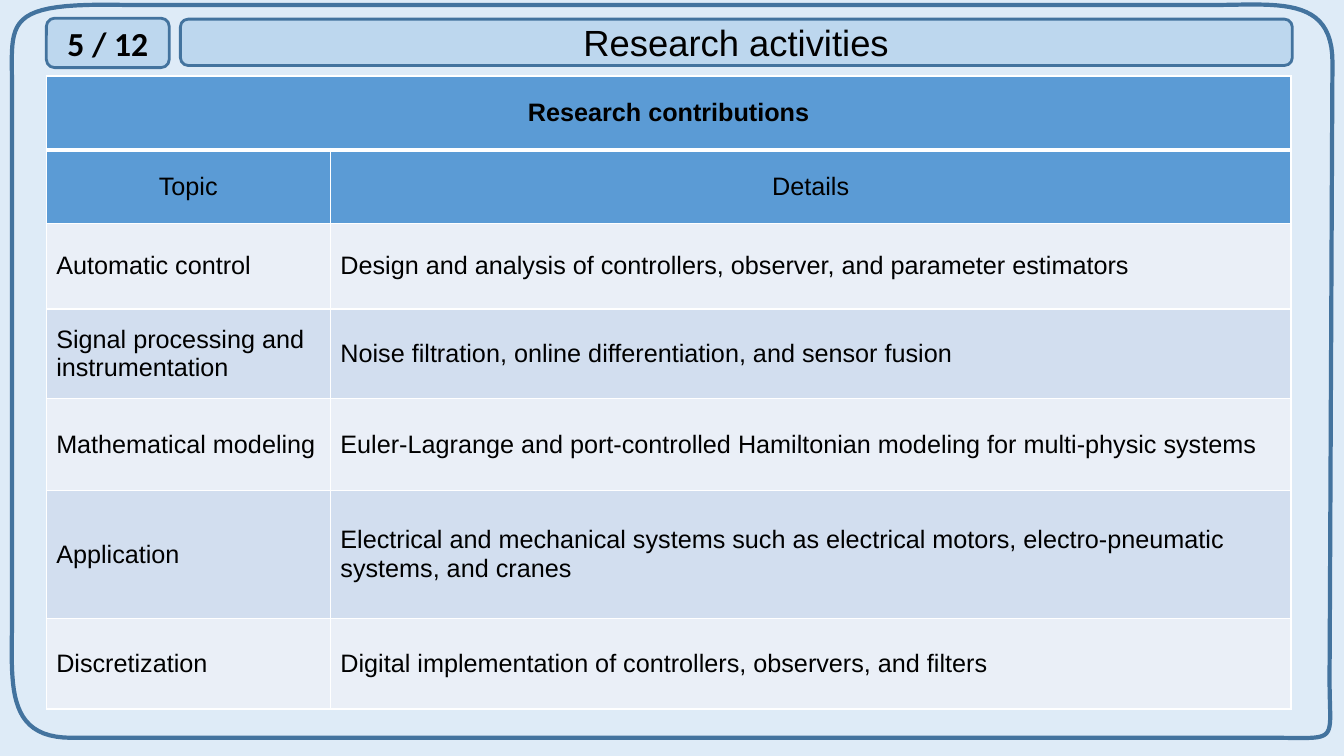
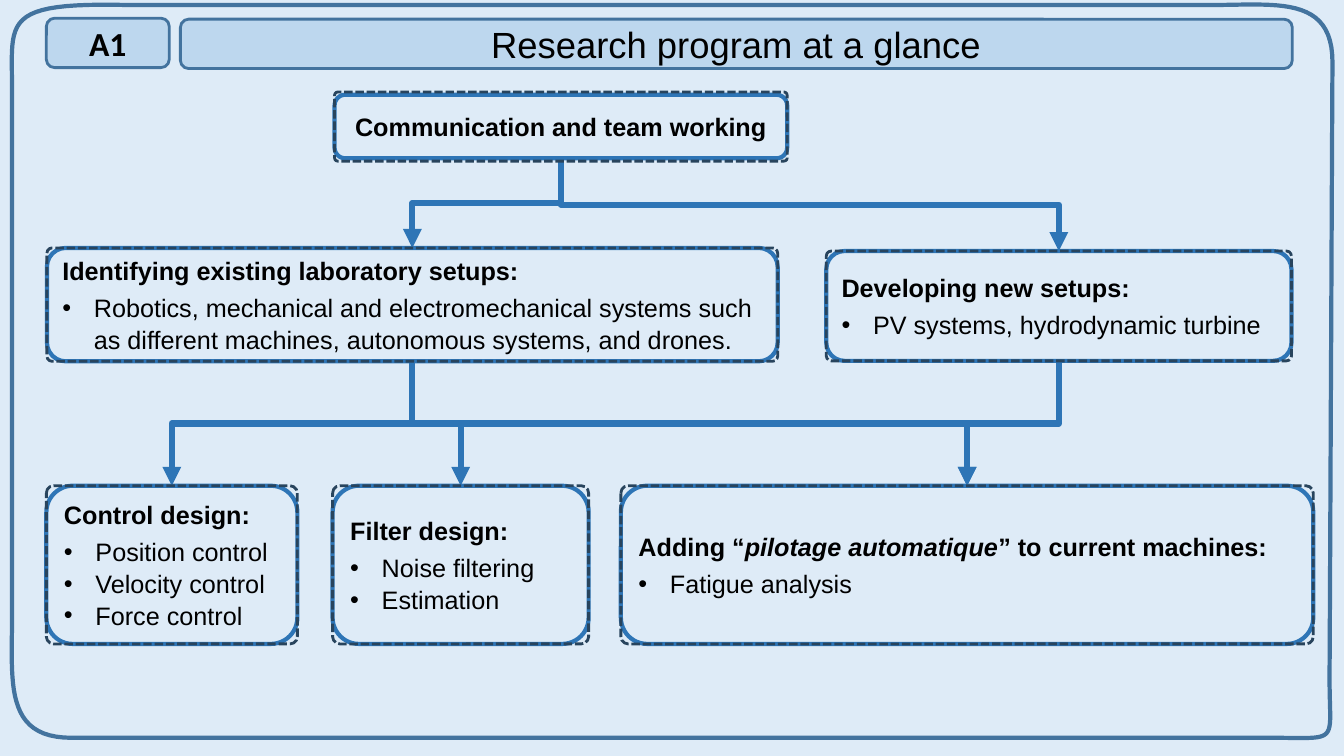
from pptx import Presentation
from pptx.dml.color import RGBColor
from pptx.enum.dml import MSO_LINE_DASH_STYLE as DASH
from pptx.enum.shapes import MSO_CONNECTOR as CONN, MSO_SHAPE as SHAPE
from pptx.enum.text import MSO_ANCHOR as ANCHOR, PP_ALIGN as ALIGN
from pptx.oxml.ns import qn
from pptx.util import Pt
from lxml.etree import Element, SubElement

PAGE = RGBColor(0xDE, 0xEB, 0xF7)
BAND = RGBColor(0xBD, 0xD7, 0xEE)
EDGE = RGBColor(0x43, 0x73, 0x9E)
BLUE = RGBColor(0x2E, 0x75, 0xB6)
NAVY = RGBColor(0x28, 0x44, 0x5D)
HEAD = RGBColor(0x5B, 0x9B, 0xD5)
STRIPES = RGBColor(0xEA, 0xEF, 0xF7), RGBColor(0xD2, 0xDE, 0xEF)
BLACK = RGBColor(0, 0, 0)
WHITE = RGBColor(255, 255, 255)

FRAME_START = (8.6, 62.6)
FRAME_STEPS = [
    (8.6, 14.4, 0.7, 1.4, 92.9, 3.6),
    (863.3, 3.6),
    (911.5, 3.6, 951.8, -3.6, 951.8, 44.6),
    (951.1, 176.4, 950.4, 352.8, 949.7, 484.6),
    (949.7, 532.1, 957.6, 527, 909.4, 527),
    (51.1, 527),
    (2.9, 527, 8.6, 487.4, 8.6, 439.9),
]

TABLE_BOX = (33, 54.3, 889.2, 452.2)
COLUMNS = [203, 686.2]
ROW_HEIGHTS = [52.6, 52.6, 61.2, 64.1, 65.5, 91.4, 64.8]
ROWS = [
    ("Research contributions", ""),
    ("Topic", "Details"),
    ("Automatic control",
     "Design and analysis of controllers, observer, and parameter estimators"),
    ("Signal processing and instrumentation",
     "Noise filtration, online differentiation, and sensor fusion"),
    ("Mathematical modeling",
     "Euler-Lagrange and port-controlled Hamiltonian modeling for multi-physic systems"),
    ("Application",
     "Electrical and mechanical systems such as electrical motors, "
     "electro-pneumatic systems, and cranes"),
    ("Discretization",
     "Digital implementation of controllers, observers, and filters"),
]

BOXES = {
    "team": ((239, 67.7, 323.3, 45.4), "Communication and team working", []),
    "existing": ((33.5, 177.1, 522, 81), "Identifying existing laboratory setups:",
                 ["Robotics, mechanical and electromechanical systems such as "
                  "different machines, autonomous systems, and drones."]),
    "new": ((590.2, 179.3, 332.3, 78.5), "Developing new setups:",
            ["PV systems, hydrodynamic turbine"]),
    "control": ((33.1, 347, 179.3, 113), "Control design:",
                ["Position control", "Velocity control", "Force control"]),
    "filter": ((237.6, 347, 182.9, 113), "Filter design:",
               ["Noise filtering", "Estimation"]),
    "autopilot": ((443.5, 347, 494.6, 113),
                  "Adding “*pilotage automatique*” to current machines:",
                  ["Fatigue analysis"]),
}
LINKS = [("team", "existing"), ("team", "new"), ("existing", "control"),
         ("existing", "filter"), ("existing", "autopilot"), ("new", "autopilot")]


def style_run(r, size=18, bold=False, italic=False, font="Arial"):
    r.font.name, r.font.size = font, Pt(size)
    r.font.bold, r.font.italic = bold, italic
    r.font.color.rgb = BLACK


def outline(sp, color, width, fill=None):
    sp.shadow.inherit = False
    if fill is None:
        sp.fill.background()
    else:
        sp.fill.solid()
        sp.fill.fore_color.rgb = fill
    sp.line.color.rgb, sp.line.width = color, Pt(width)


def add_round(s, box, color, width, fill=None, radius=0.167):
    sp = s.shapes.add_shape(SHAPE.ROUNDED_RECTANGLE, *map(Pt, box))
    sp.adjustments[0] = radius
    outline(sp, color, width, fill)
    sp.text_frame.word_wrap = True
    sp.text_frame.vertical_anchor = ANCHOR.MIDDLE
    return sp


def add_band(s, box, text, **font):
    p = add_round(s, box, EDGE, 2, BAND).text_frame.paragraphs[0]
    p.text, p.alignment = text, ALIGN.CENTER
    style_run(p.runs[0], **font)


def add_frame(s, steps=24):
    points, here = [], FRAME_START
    for step in FRAME_STEPS:
        end = step[-2:]
        if len(step) == 6:
            controls = [here, step[:2], step[2:4], end]
            for i in range(1, steps + 1):
                t = i / steps
                weights = ((1 - t) ** 3, 3 * t * (1 - t) ** 2, 3 * t * t * (1 - t), t ** 3)
                points.append([sum(w * c[k] for w, c in zip(weights, controls))
                               for k in (0, 1)])
        else:
            points.append(end)
        here = end
    builder = s.shapes.build_freeform(*map(Pt, FRAME_START))
    builder.add_line_segments([(Pt(x), Pt(y)) for x, y in points], close=True)
    outline(builder.convert_to_shape(), EDGE, 3)


def add_slide(prs, label, title, title_height):
    s = prs.slides.add_slide(prs.slide_layouts[6])
    s.background.fill.solid()
    s.background.fill.fore_color.rgb = PAGE
    add_frame(s)
    add_band(s, (128.9, 13.7, 794.2, title_height), title, size=26)
    add_band(s, (33.1, 13, 87.8, 35.3), label, size=24, bold=True, font="Calibri")
    return s


def set_borders(cell, bottom):
    tc_pr = cell._tc.get_or_add_tcPr()
    for i, (side, width) in enumerate(zip("LRTB", (1, 1, 1, bottom))):
        ln = Element(qn(f"a:ln{side}"), w=str(Pt(width)))
        fill = SubElement(ln, qn("a:solidFill"))
        SubElement(fill, qn("a:srgbClr"), val=str(WHITE))
        tc_pr.insert(i, ln)


def add_contributions(s):
    table = s.shapes.add_table(len(ROWS), len(COLUMNS), *map(Pt, TABLE_BOX)).table
    for column, width in zip(table.columns, COLUMNS):
        column.width = Pt(width)
    table.cell(0, 0).merge(table.cell(0, 1))
    for i, (texts, height) in enumerate(zip(ROWS, ROW_HEIGHTS)):
        table.rows[i].height = Pt(height)
        for cell, text in zip(table.rows[i].cells, texts):
            cell.fill.solid()
            cell.fill.fore_color.rgb = HEAD if i < 2 else STRIPES[i % 2]
            set_borders(cell, 3 if i == 0 else 1)
            cell.vertical_anchor = ANCHOR.MIDDLE
            if text:
                p = cell.text_frame.paragraphs[0]
                p.text = text
                p.alignment = ALIGN.CENTER if i < 2 else ALIGN.LEFT
                style_run(p.runs[0], bold=i == 0)


def add_topic(s, box, heading, bullets):
    sp = add_round(s, box, BLUE, 3)
    tf = sp.text_frame
    p = tf.paragraphs[0]
    p.alignment = ALIGN.LEFT if bullets else ALIGN.CENTER
    if bullets:
        p.space_after = Pt(4)
    for i, part in enumerate(heading.split("*")):
        r = p.add_run()
        r.text = part
        style_run(r, bold=True, italic=i % 2 == 1)
    for text in bullets:
        p = tf.add_paragraph()
        p.text, p.alignment, p.line_spacing = text, ALIGN.LEFT, 1.05
        style_run(p.runs[0])
        p_pr = p._p.get_or_add_pPr()
        p_pr.set("marL", str(Pt(22.5)))
        p_pr.set("indent", str(Pt(-22.5)))
        SubElement(p_pr, qn("a:buFont"), typeface="Arial")
        SubElement(p_pr, qn("a:buChar"), char="•")
    return sp


def add_link(s, start, end):
    x1, y1 = start.left + start.width // 2, start.top + start.height
    x2, y2 = end.left + end.width // 2, end.top
    c = s.shapes.add_connector(CONN.ELBOW, x1, y1, x2, y2)
    c.begin_connect(start, 2)
    c.end_connect(end, 0)
    run, drop = abs(x2 - x1), y2 - y1
    c.left, c.top = (x1 + x2 - drop) // 2, (y1 + y2 - run) // 2
    c.width, c.height = drop, run
    xfrm = c._element.spPr.find(qn("a:xfrm"))
    xfrm.rot, xfrm.flipH, xfrm.flipV = (270, True, False) if x2 > x1 else (90, False, False)
    c.line.color.rgb, c.line.width = BLUE, Pt(4.5)
    SubElement(c.line._get_or_add_ln(), qn("a:tailEnd"), type="triangle")
    SubElement(c._element.spPr, qn("a:effectLst"))


def add_program(s):
    topics = {name: add_topic(s, *parts) for name, parts in BOXES.items()}
    for start, end in LINKS:
        add_link(s, topics[start], topics[end])
    for (x, y, w, h), _, bullets in BOXES.values():
        pad = 0 if bullets else 2
        dashed = add_round(s, (x, y - pad, w, h + 2 * pad), NAVY, 2, radius=0.046)
        dashed.line.dash_style = DASH.SQUARE_DOT


def main():
    """Build the two research slides."""
    prs = Presentation()
    prs.slide_width, prs.slide_height = Pt(960), Pt(540)
    add_contributions(add_slide(prs, "5 / 12", "Research activities", 33.1))
    add_program(add_slide(prs, "A1", "Research program at a glance", 35.3))
    prs.save("out.pptx")


if __name__ == "__main__":
    main()
